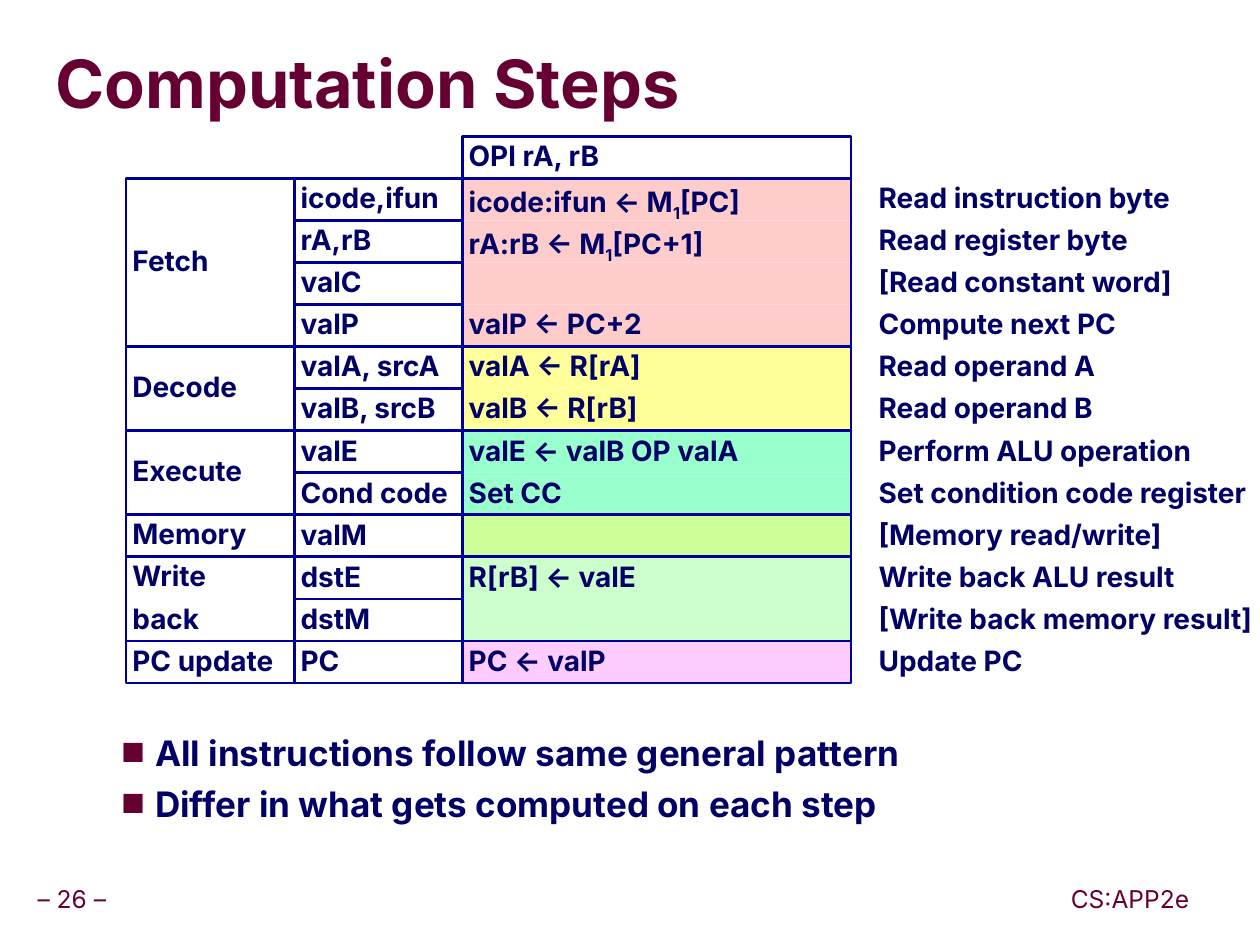
from lxml import etree
from pptx import Presentation
from pptx.dml.color import RGBColor
from pptx.enum import shapes, text
from pptx.oxml import ns
from pptx.util import Inches, Pt

FONT = "Inter"
WINE = RGBColor(0x66, 0x00, 0x33)
NAVY = RGBColor(0x00, 0x00, 0x66)
BLUE = RGBColor(0x00, 0x00, 0x99)
PINK = RGBColor(0xFF, 0xCC, 0xCC)
YELLOW = RGBColor(0xFF, 0xFF, 0x99)
AQUA = RGBColor(0x99, 0xFF, 0xCC)
LIME = RGBColor(0xCC, 0xFF, 0x99)
MINT = RGBColor(0xCC, 0xFF, 0xCC)
LILAC = RGBColor(0xFF, 0xCC, 0xFF)

ROW = 1 / 3
STAGE_W, NAME_W, STEP_W, NOTE_W = 4 / 3, 4 / 3, 3.08, 3.08
NOTE_GAP = 0.17

# Stage, colour, then (value, step, note) for each row; _ marks a subscript.
STAGES = [
    ("Fetch", PINK, [
        ("icode,ifun", "icode:ifun ← M_1_[PC]", "Read instruction byte"),
        ("rA,rB", "rA:rB ← M_1_[PC+1]", "Read register byte"),
        ("valC", "", "[Read constant word]"),
        ("valP", "valP ← PC+2", "Compute next PC")]),
    ("Decode", YELLOW, [
        ("valA, srcA", "valA ← R[rA]", "Read operand A"),
        ("valB, srcB", "valB ← R[rB]", "Read operand B")]),
    ("Execute", AQUA, [
        ("valE", "valE ← valB OP valA", "Perform ALU operation"),
        ("Cond code", "Set CC", "Set condition code register")]),
    ("Memory", LIME, [
        ("valM", "", "[Memory read/write]")]),
    ("Write\nback", MINT, [
        ("dstE", "R[rB] ← valE", "Write back ALU result"),
        ("dstM", "", "[Write back memory result]")]),
    ("PC update", LILAC, [
        ("PC", "PC ← valP", "Update PC")]),
]


def put(frame, words, size=16, color=NAVY, bold=True, align=text.PP_ALIGN.LEFT,
        anchor=text.MSO_ANCHOR.TOP, inset=(0.05, 0.05), lines=0.9, gap=7,
        wrap=True, level=0):
    """Fill a text frame: one paragraph a line, subscripts between underscores."""
    frame.word_wrap = wrap
    frame.auto_size = text.MSO_AUTO_SIZE.NONE
    frame.vertical_anchor = anchor
    frame.margin_left = frame.margin_right = Inches(inset[0])
    frame.margin_top = frame.margin_bottom = Inches(inset[1])
    for i, line in enumerate(words.split("\n")):
        para = frame.add_paragraph() if i else frame.paragraphs[0]
        para.level, para.alignment, para.line_spacing = level, align, lines
        para.space_before = Pt(gap if i else 0)
        for j, part in enumerate(line.split("_")):
            run = para.add_run()
            run.text = part
            font = run.font
            font.name, font.size, font.bold = FONT, Pt(size), bold
            font.color.rgb = color
            if j % 2:
                run._r.get_or_add_rPr().set("baseline", "-25000")


def place(shape, x, y, w, h):
    shape.left, shape.top = Inches(x), Inches(y)
    shape.width, shape.height = Inches(w), Inches(h)


def cell(slide, x, y, w, h, words="", fill=None, line=BLUE, **style):
    rect = slide.shapes.add_shape(shapes.MSO_SHAPE.RECTANGLE, Inches(x),
                                  Inches(y), Inches(w), Inches(h))
    rect.shadow.inherit = False
    if fill is None:
        rect.fill.background()
    else:
        rect.fill.solid()
        rect.fill.fore_color.rgb = fill
    if line is None:
        rect.line.fill.background()
    else:
        rect.line.color.rgb = line
        rect.line.width = Pt(1.5)
    if words:
        put(rect.text_frame, words, **style)


def label(slide, x, y, w, h, words, **style):
    box = slide.shapes.add_textbox(Inches(x), Inches(y), Inches(w), Inches(h))
    put(box.text_frame, words, **style)


def title(slide, x, y, w, h, words):
    head = slide.shapes.title
    place(head, x, y, w, h)
    put(head.text_frame, words, size=38, color=WINE, lines=0.87, inset=(0, 0),
        anchor=text.MSO_ANCHOR.MIDDLE)
    props = head.text_frame.paragraphs[0].runs[0]._r.get_or_add_rPr()
    effect = etree.Element(ns.qn("a:effectLst"))
    shade = etree.SubElement(effect, ns.qn("a:outerShdw"), dist="38100",
                             dir="2700000", algn="tl")
    etree.SubElement(shade, ns.qn("a:srgbClr"), val="969696")
    props.find(ns.qn("a:solidFill")).addnext(effect)


def bullets(slide, x, y, w, h, words):
    body = slide.placeholders[1]
    place(body, x, y, w, h)
    put(body.text_frame, words, size=20, inset=(0.1, 0.05), lines=1.0, gap=5,
        level=1)
    for para in body.text_frame.paragraphs:
        props = para._p.get_or_add_pPr()
        props.set("marL", str(Inches(0.81)))
        props.set("indent", str(Inches(-0.27)))
        tint = etree.SubElement(props, ns.qn("a:buClr"))
        etree.SubElement(tint, ns.qn("a:srgbClr"), val=str(WINE))
        etree.SubElement(props, ns.qn("a:buSzPct"), val="75000")
        etree.SubElement(props, ns.qn("a:buFont"), typeface=FONT)
        etree.SubElement(props, ns.qn("a:buChar"), char="■")


def stage(slide, x, y, name, fill, rows):
    """Draw one stage at x, y and return the y below it."""
    name_x = x + STAGE_W
    step_x = name_x + NAME_W
    note_x = step_x + STEP_W + NOTE_GAP
    tall = ROW * len(rows)
    for i, (value, step, note) in enumerate(rows):
        top = y + i * ROW
        cell(slide, step_x, top, STEP_W, ROW, step, fill=fill, line=None)
        cell(slide, name_x, top, NAME_W, ROW, value)
        label(slide, note_x, top, NOTE_W, ROW, note)
    cell(slide, step_x, y, STEP_W, tall)
    cell(slide, x, y, STAGE_W, tall, name, anchor=text.MSO_ANCHOR.MIDDLE)
    return y + tall


def grid(slide, x, y):
    cell(slide, x + STAGE_W + NAME_W, y, STEP_W, ROW, "OPl rA, rB")
    y += ROW
    for name, fill, rows in STAGES:
        y = stage(slide, x, y, name, fill, rows)


def footer(slide, y):
    for x, w, words in ((0.24, 0.66, "– 26 –"), (8.44, 1.04, "CS:APP2e")):
        label(slide, x, y, w, 0.31, words, size=14, color=WINE, bold=False,
              align=text.PP_ALIGN.CENTER, anchor=text.MSO_ANCHOR.MIDDLE,
              wrap=False)


def main():
    deck = Presentation()
    deck.slide_width, deck.slide_height = Inches(9.99), Inches(7.49)
    slide = deck.slides.add_slide(deck.slide_layouts[1])
    footer(slide, 6.98)
    title(slide, 0.44, 0.27, 9.52, 0.85, "Computation Steps")
    bullets(slide, 0.32, 5.75, 9.07, 1.28,
            "All instructions follow same general pattern\n"
            "Differ in what gets computed on each step")
    grid(slide, 1, 1.08)
    deck.save("out.pptx")


if __name__ == "__main__":
    main()
